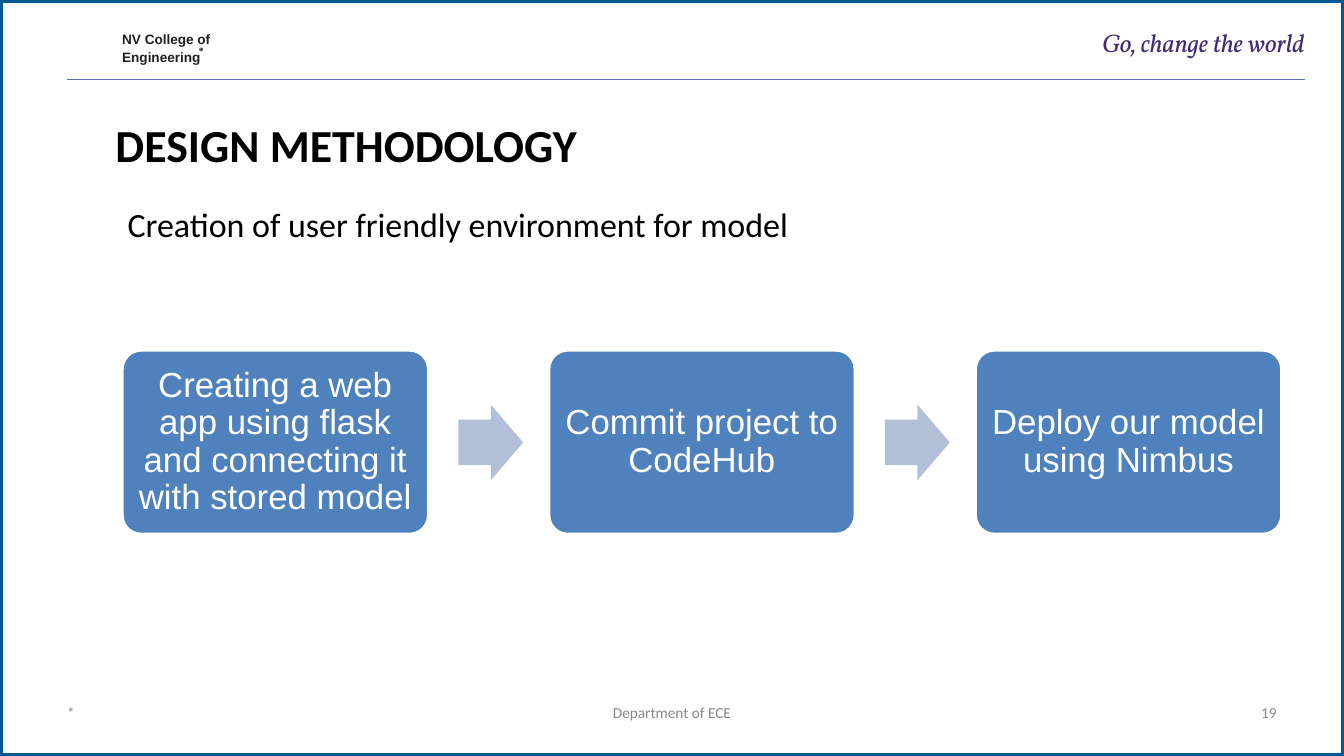
from dataclasses import dataclass

from pptx import Presentation
from pptx.dml.color import RGBColor
from pptx.enum.shapes import MSO_CONNECTOR, MSO_SHAPE
from pptx.enum.text import MSO_ANCHOR, PP_ALIGN
from pptx.oxml.ns import qn
from pptx.util import Pt
from lxml import etree

LEFT, CENTER, RIGHT = PP_ALIGN.LEFT, PP_ALIGN.CENTER, PP_ALIGN.RIGHT
RECT, ROUNDED, ARROW = MSO_SHAPE.RECTANGLE, MSO_SHAPE.ROUNDED_RECTANGLE, MSO_SHAPE.RIGHT_ARROW
RING = MSO_SHAPE.DONUT
MIDDLE, STRAIGHT = MSO_ANCHOR.MIDDLE, MSO_CONNECTOR.STRAIGHT

STEPS = [
    "Creating a web app using flask and connecting it with stored model",
    "Commit project to CodeHub",
    "Deploy our model using Nimbus",
]


@dataclass(frozen=True)
class Style:
    font: str
    size: float
    color: str
    bold: bool = False
    italic: bool = False


@dataclass(frozen=True)
class Theme:
    page: str = "FFFFFF"
    border: str = "005893"
    rule: str = "5E6DB3"
    step: str = "4F81BD"
    arrow: str = "B1C0D7"
    mark: str = "231F20"
    college: Style = Style("Arial", 16, "231F20", bold=True)
    heading: Style = Style("Calibri", 54, "000000", bold=True)
    motto: Style = Style("Vollkorn", 30, "422C75", italic=True)
    subtitle: Style = Style("Calibri", 40, "000000")
    footer: Style = Style("Calibri", 18, "898989")
    step_text: Style = Style("Arial", 41, "FFFFFF")


THEME = Theme()

TEXTS = [
    (["NV College of", "Engineering"], (200, 47, 150, 54), THEME.college, LEFT, (0, 2), 1.06),
    (["DESIGN METHODOLOGY"], (189, 190, 1120, 92), THEME.heading, LEFT, (0, 1), 1),
    (["Creation of user friendly environment for model"], (199, 328, 1117, 77),
     THEME.subtitle, LEFT, (10, 5), 1),
    (["Go, change the world"], (1733, 45, 402, 51), THEME.motto, RIGHT, (0, 0), 1),
    (["*"], (110, 1150, 506, 62), THEME.footer, LEFT, (0, 0), 1),
    (["Department of ECE"], (748, 1150, 703, 62), THEME.footer, CENTER, (0, 0), 1),
    (["19"], (1583, 1150, 506, 62), THEME.footer, RIGHT, (0, 0), 1),
]

PX = 9144
PAGE_W, PAGE_H = 2199, 1237
RULE_X1, RULE_X2, RULE_Y = 110, 2136, 130
MARK_RING = (326, 78, 6, 6)
MARK_LETTER = [(328, 79), (330, 79), (331, 80), (330, 81), (331, 83),
               (330, 83), (329, 81), (329, 83), (328, 83)]
STEP_X, STEP_Y, STEP_W, STEP_H, STEP_PITCH = 201, 574, 499, 299, 698
ARROW_W, ARROW_H, ARROW_GAP = 106, 124, 50
STEP_INSET = 16


def px(*values):
    return [v * PX for v in values]


def rgb(color):
    return RGBColor.from_string(color)


def write(sp, lines, style, align, inset, spacing):
    tf = sp.text_frame
    tf.word_wrap = True
    tf.margin_left = tf.margin_right = inset[0] * PX
    tf.margin_top = tf.margin_bottom = inset[1] * PX
    for i, line in enumerate(lines):
        p = tf.add_paragraph() if i else tf.paragraphs[0]
        p.text = line
        p.alignment = align
        p.line_spacing = spacing
        p.space_before = Pt(i)
        p.font.name = style.font
        p.font.size = Pt(style.size)
        p.font.bold = style.bold
        p.font.italic = style.italic
        p.font.color.rgb = rgb(style.color)
    return tf


def paint(sp, fill, line=None, width=0):
    sp.shadow.inherit = False
    sp.fill.solid()
    sp.fill.fore_color.rgb = rgb(fill)
    if line:
        sp.line.color.rgb = rgb(line)
        sp.line.width = Pt(width)
    else:
        sp.line.fill.background()
    return sp


def add_box(slide, kind, box, fill, line=None, width=0):
    return paint(slide.shapes.add_shape(kind, *px(*box)), fill, line, width)


def add_rule(slide):
    rule = slide.shapes.add_connector(STRAIGHT, *px(RULE_X1, RULE_Y, RULE_X2, RULE_Y))
    rule.line.color.rgb = rgb(THEME.rule)
    rule.line.width = Pt(1.25)
    etree.SubElement(rule._element.spPr, qn("a:effectLst"))


def add_mark(slide):
    ring = add_box(slide, RING, MARK_RING, THEME.mark)
    ring.adjustments[0] = 0.12
    letter = slide.shapes.build_freeform(*MARK_LETTER[0], scale=PX)
    letter.add_line_segments(MARK_LETTER[1:], close=True)
    paint(letter.convert_to_shape(), THEME.mark)


def add_steps(slide):
    for i, text in enumerate(STEPS):
        x = STEP_X + i * STEP_PITCH
        if i:
            arrow_x = x - STEP_PITCH + STEP_W + ARROW_GAP
            arrow_y = STEP_Y + (STEP_H - ARROW_H + 1) // 2
            arrow = add_box(slide, ARROW, (arrow_x, arrow_y, ARROW_W, ARROW_H), THEME.arrow)
            arrow.adjustments[0] = 0.6
            arrow.adjustments[1] = 0.5
        step = add_box(slide, ROUNDED, (x, STEP_Y, STEP_W, STEP_H), THEME.step, THEME.page, 2)
        step.adjustments[0] = 0.1
        tf = write(step, [text], THEME.step_text, CENTER, (STEP_INSET, STEP_INSET), 0.9)
        tf.vertical_anchor = MIDDLE


def main():
    prs = Presentation()
    prs.slide_width, prs.slide_height = px(PAGE_W, PAGE_H)
    slide = prs.slides.add_slide(prs.slide_layouts[6])
    add_box(slide, RECT, (0, 0, PAGE_W, PAGE_H), THEME.page, THEME.border, 6)
    add_rule(slide)
    add_mark(slide)
    for lines, box, style, align, inset, spacing in TEXTS:
        write(slide.shapes.add_textbox(*px(*box)), lines, style, align, inset, spacing)
    add_steps(slide)
    prs.save("out.pptx")


if __name__ == "__main__":
    main()
